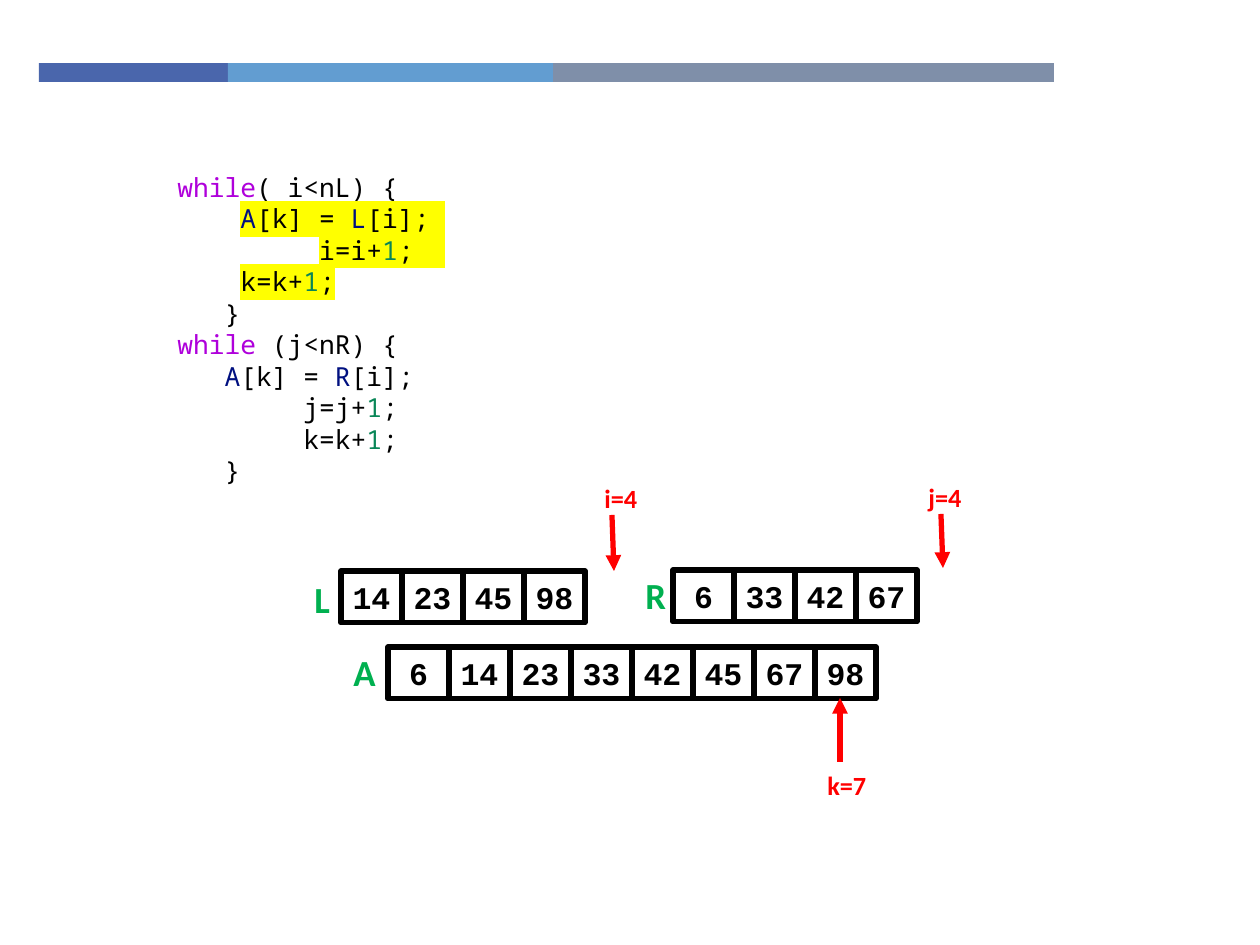
from lxml.etree import SubElement
from pptx import Presentation
from pptx.dml.color import RGBColor
from pptx.enum.shapes import MSO_CONNECTOR, MSO_SHAPE
from pptx.enum.text import MSO_ANCHOR, MSO_AUTO_SIZE, PP_ALIGN
from pptx.oxml.ns import qn
from pptx.util import Pt

PX = 914400 // 126
BLACK = RGBColor(0x00, 0x00, 0x00)
RED = RGBColor(0xFF, 0x00, 0x00)
GREEN = RGBColor(0x00, 0xB0, 0x50)
PURPLE = RGBColor(0xAF, 0x00, 0xDB)
NAVY = RGBColor(0x00, 0x10, 0x80)
TEAL = RGBColor(0x09, 0x86, 0x58)
BLUE = RGBColor(0x4A, 0x66, 0xAC)
SKY = RGBColor(0x62, 0x9D, 0xD1)
SLATE = RGBColor(0x7F, 0x8F, 0xA9)
YELLOW = "FFFF00"

prs = Presentation()
prs.slide_width, prs.slide_height = 1260 * PX, 945 * PX
s = prs.slides.add_slide(prs.slide_layouts[6])


def add_run(p, text, size=15, font="Calibri", color=BLACK, bold=False, highlight=None):
    r = p.add_run()
    r.text = text
    r.font.size = Pt(size)
    r.font.name = font
    r.font.bold = bold
    r.font.color.rgb = color
    if highlight:
        mark = r.font._element.makeelement(qn("a:highlight"))
        SubElement(mark, qn("a:srgbClr"), val=highlight)
        r.font._element.find(qn("a:solidFill")).addnext(mark)


# Header bar
for x, w, color in [(39, 189, BLUE), (228, 325, SKY), (553, 501, SLATE)]:
    sp = s.shapes.add_shape(MSO_SHAPE.RECTANGLE, x * PX, 63 * PX, w * PX, 19 * PX)
    sp.shadow.inherit = False
    sp.fill.solid()
    sp.fill.fore_color.rgb = color
    sp.line.fill.background()

# Arrays L, R and the merged A
CELL_W, CELL_H = 61, 52
arrays = [
    (341, 571, [14, 23, 45, 98]),
    (673, 570, [6, 33, 42, 67]),
    (388, 647, [6, 14, 23, 33, 42, 45, 67, 98]),
]
for x, y, values in arrays:
    for i, value in enumerate(values):
        sp = s.shapes.add_shape(MSO_SHAPE.RECTANGLE, (x + i * CELL_W) * PX, y * PX,
                                CELL_W * PX, CELL_H * PX)
        sp.shadow.inherit = False
        sp.fill.background()
        sp.line.color.rgb = BLACK
        sp.line.width = Pt(3)
        tf = sp.text_frame
        tf.word_wrap = False
        tf.vertical_anchor = MSO_ANCHOR.MIDDLE
        p = tf.paragraphs[0]
        p.alignment = PP_ALIGN.CENTER
        add_run(p, str(value), size=18, font="Courier New", bold=True)

# Index arrows
for x1, y1, x2, y2 in [(612, 515, 614, 571), (941, 514, 943, 568), (840, 762, 840, 698)]:
    arrow = s.shapes.add_connector(MSO_CONNECTOR.STRAIGHT, x1 * PX, y1 * PX, x2 * PX, y2 * PX)
    arrow.line.color.rgb = RED
    arrow.line.width = Pt(3)
    SubElement(arrow.line._get_or_add_ln(), qn("a:tailEnd"), type="triangle")
    SubElement(arrow._element.spPr, qn("a:effectLst"))

# Index and array labels
labels = [
    ("i=4", 592, 476, 58, 44, 15, RED),
    ("j=4", 916, 475, 59, 44, 15, RED),
    ("k=7", 815, 763, 65, 44, 15, RED),
    ("L", 302, 571, 42, 57, 21, GREEN),
    ("R", 633, 567, 47, 57, 21, GREEN),
    ("A", 341, 644, 48, 57, 21, GREEN),
]
for text, x, y, w, h, size, color in labels:
    tf = s.shapes.add_textbox(x * PX, y * PX, w * PX, h * PX).text_frame
    tf.word_wrap = False
    tf.auto_size = MSO_AUTO_SIZE.SHAPE_TO_FIT_TEXT
    add_run(tf.paragraphs[0], text, size=size, color=color, bold=True)

# Code: indent in characters, highlight, coloured pieces
CHAR_W = Pt(9)
code = [
    (0, None, [("while", PURPLE), ("( i<nL) {", BLACK)]),
    (4, YELLOW, [("A", NAVY), ("[k] = ", BLACK), ("L", NAVY), ("[i]; ", BLACK)]),
    (9, YELLOW, [("i=i+", BLACK), ("1", TEAL), (";  ", BLACK)]),
    (4, YELLOW, [("k=k+", BLACK), ("1", TEAL), (";", BLACK)]),
    (3, None, [("}", BLACK)]),
    (0, None, [("while", PURPLE), (" (j<nR) {", BLACK)]),
    (3, None, [("A", NAVY), ("[k] = ", BLACK), ("R", NAVY), ("[i];", BLACK)]),
    (8, None, [("j=j+", BLACK), ("1", TEAL), (";", BLACK)]),
    (8, None, [("k=k+", BLACK), ("1", TEAL), (";", BLACK)]),
    (3, None, [("}", BLACK)]),
]
tf = s.shapes.add_textbox(165 * PX, 165 * PX, 473 * PX, 331 * PX).text_frame
tf.word_wrap = True
tf.auto_size = MSO_AUTO_SIZE.SHAPE_TO_FIT_TEXT
for n, (indent, highlight, pieces) in enumerate(code):
    p = tf.add_paragraph() if n else tf.paragraphs[0]
    p.line_spacing = Pt(18)
    p._p.get_or_add_pPr().set("marL", str(indent * CHAR_W))
    for text, color in pieces:
        add_run(p, text, font="Noto Sans Mono", color=color, highlight=highlight)

prs.save("out.pptx")
